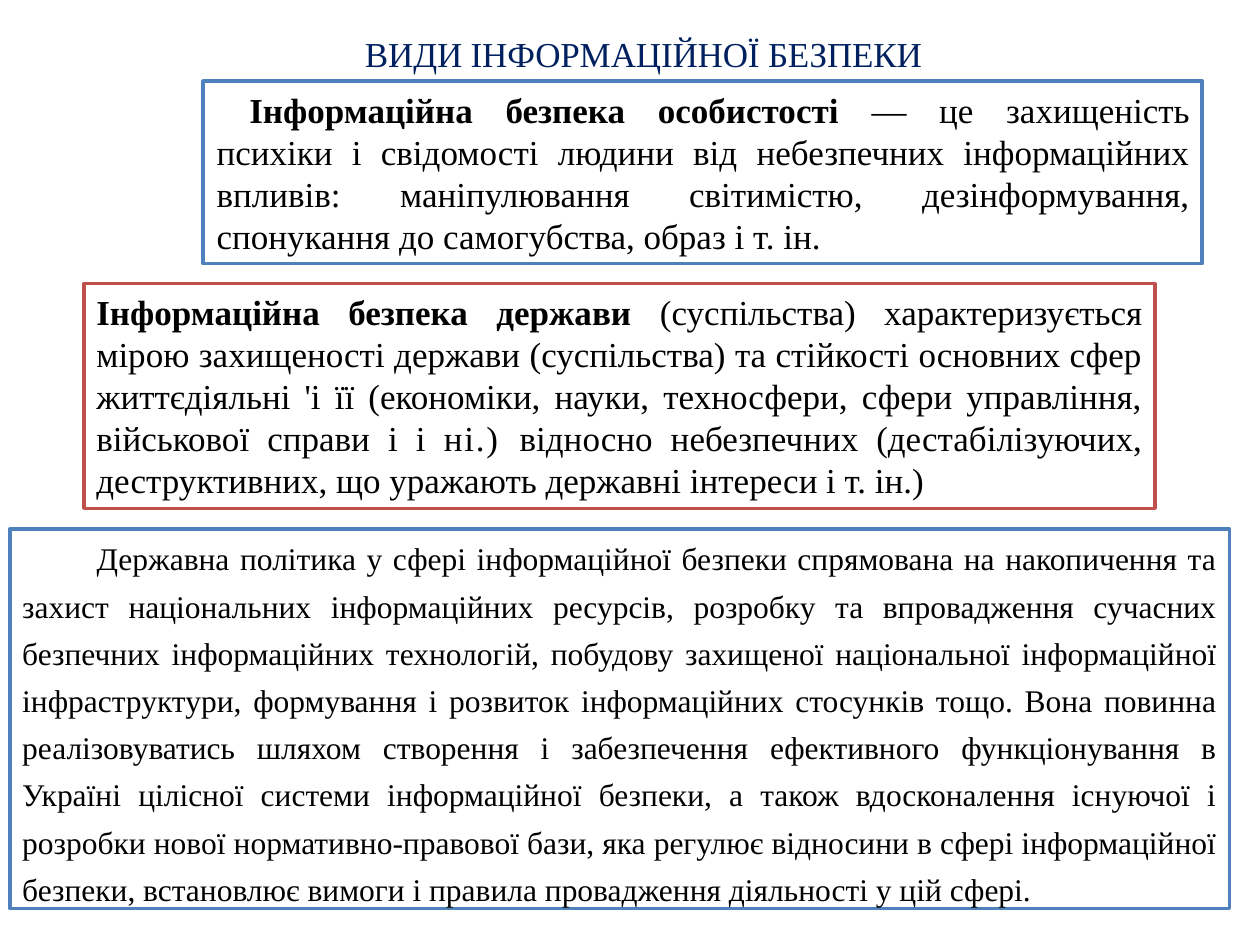
from dataclasses import dataclass

from pptx import Presentation
from pptx.dml.color import RGBColor as Rgb
from pptx.enum.shapes import MSO_SHAPE as Kind
from pptx.enum.text import MSO_ANCHOR as Anchor, MSO_AUTO_SIZE as Fit, PP_ALIGN as Align
from pptx.util import Pt


@dataclass(frozen=True)
class Theme:
    font: str = "Times New Roman"
    large: int = 20
    small: int = 18
    edge: float = 2
    ink: Rgb = Rgb(0, 0, 0)
    navy: Rgb = Rgb(0x00, 0x20, 0x60)
    blue: Rgb = Rgb(0x4F, 0x81, 0xBD)
    red: Rgb = Rgb(0xC0, 0x50, 0x4D)
    white: Rgb = Rgb(255, 255, 255)


THEME = Theme()


@dataclass(frozen=True)
class Span:
    text: str
    bold: bool = False
    track: float = 0  # letter spacing in points


@dataclass(frozen=True)
class Panel:
    area: tuple[float, float, float, float]  # left, top, width, height
    spans: tuple[Span, ...]
    size: int = THEME.large
    ink: Rgb = THEME.ink
    line: Rgb | None = None
    align: Align = Align.JUSTIFY
    margin: float = 0
    indent: float = 0
    lead: float = 1


PANELS = (
    # Title
    Panel(
        (20.2, 15.1, 694.8, 31.5),
        (Span("ВИДИ ІНФОРМАЦІЙНОЇ БЕЗПЕКИ", track=-0.1),),
        ink=THEME.navy, align=Align.CENTER,
    ),
    # Security of the person
    Panel(
        (116, 46.3, 571, 104.4),
        (
            Span("Інформаційна безпека особистості ", bold=True),
            Span("— це захищеність психіки і свідомості людини від небезпечних "
                 "інформаційних впливів: маніпулювання світимістю, "
                 "дезінформування, спонукання до самогубства, образ і т. ін."),
        ),
        line=THEME.blue, margin=0.7, indent=18.7,
    ),
    # Security of the state
    Panel(
        (48, 162, 612, 128.5),
        (
            Span("Інформаційна безпека держави ", bold=True),
            Span("(суспільства) характеризується мірою захищеності держави "
                 "(суспільства) та стійкості основних сфер життєдіяльні 'і її "
                 "(економіки, науки, техносфери, сфери управління, військової "
                 "справи і і "),
            Span("ні.) ", track=1),
            Span("відносно небезпечних (дестабілізуючих, деструктивних, що "
                 "уражають державні інтереси і т. ін.) "),
        ),
        line=THEME.red,
    ),
    # State policy
    Panel(
        (5.6, 302.4, 697, 216.7),
        (
            Span("Державна політика у сфері інформаційної безпеки спрямована на "
                 "накопичення та захист національних інформаційних ресурсів, "
                 "розробку та впровадження сучасних безпечних інформаційних "
                 "технологій, побудову захищеної національної інформаційної "
                 "інфраструктури, формування і розвиток інформаційних стосунків "
                 "тощо. Вона повинна реалізовуватись шляхом створення і "
                 "забезпечення ефективного функціонування в Україні цілісної "
                 "системи інформаційної безпеки, а також вдосконалення існуючої "
                 "і розробки нової нормативно-правової бази, яка регулює "
                 "відносини в сфері інформаційної безпеки, встановлює вимоги і "
                 "правила провадження діяльності у цій сфері."),
        ),
        size=THEME.small, line=THEME.blue, indent=42.5, lead=1.25,
    ),
)


def write(frame, panel: Panel) -> None:
    frame.word_wrap = True
    frame.auto_size = Fit.SHAPE_TO_FIT_TEXT
    para = frame.paragraphs[0]
    para.alignment = panel.align
    para.line_spacing = panel.lead
    props = para._p.get_or_add_pPr()
    props.set("marL", str(Pt(panel.margin)))
    props.set("indent", str(Pt(panel.indent)))
    for span in panel.spans:
        run = para.add_run()
        run.text = span.text
        font = run.font
        font.name, font.size, font.bold = THEME.font, Pt(panel.size), span.bold
        font.color.rgb = panel.ink
        if span.track:
            run._r.get_or_add_rPr().set("spc", str(round(span.track * 100)))


def draw(slide, panel: Panel) -> None:
    area = [Pt(side) for side in panel.area]
    if panel.line is None:
        shape = slide.shapes.add_textbox(*area)
    else:
        shape = slide.shapes.add_shape(Kind.RECTANGLE, *area)
        shape.shadow.inherit = False
        shape.fill.solid()
        shape.fill.fore_color.rgb = THEME.white
        shape.line.color.rgb = panel.line
        shape.line.width = Pt(THEME.edge)
        shape.text_frame.vertical_anchor = Anchor.MIDDLE
    write(shape.text_frame, panel)


def main() -> None:
    deck = Presentation()
    deck.slide_width, deck.slide_height = Pt(720), Pt(540)
    slide = deck.slides.add_slide(deck.slide_layouts[6])
    for panel in PANELS:
        draw(slide, panel)
    deck.save("out.pptx")


if __name__ == "__main__":
    main()
